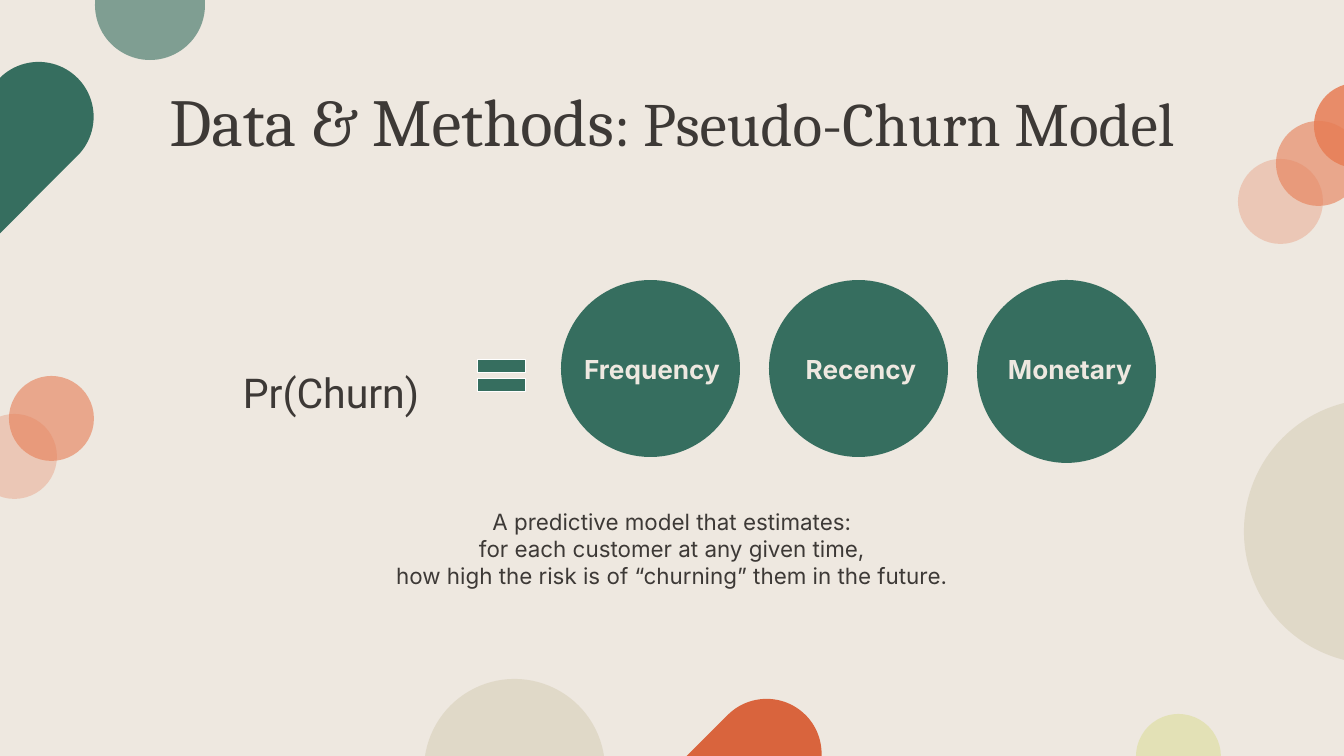
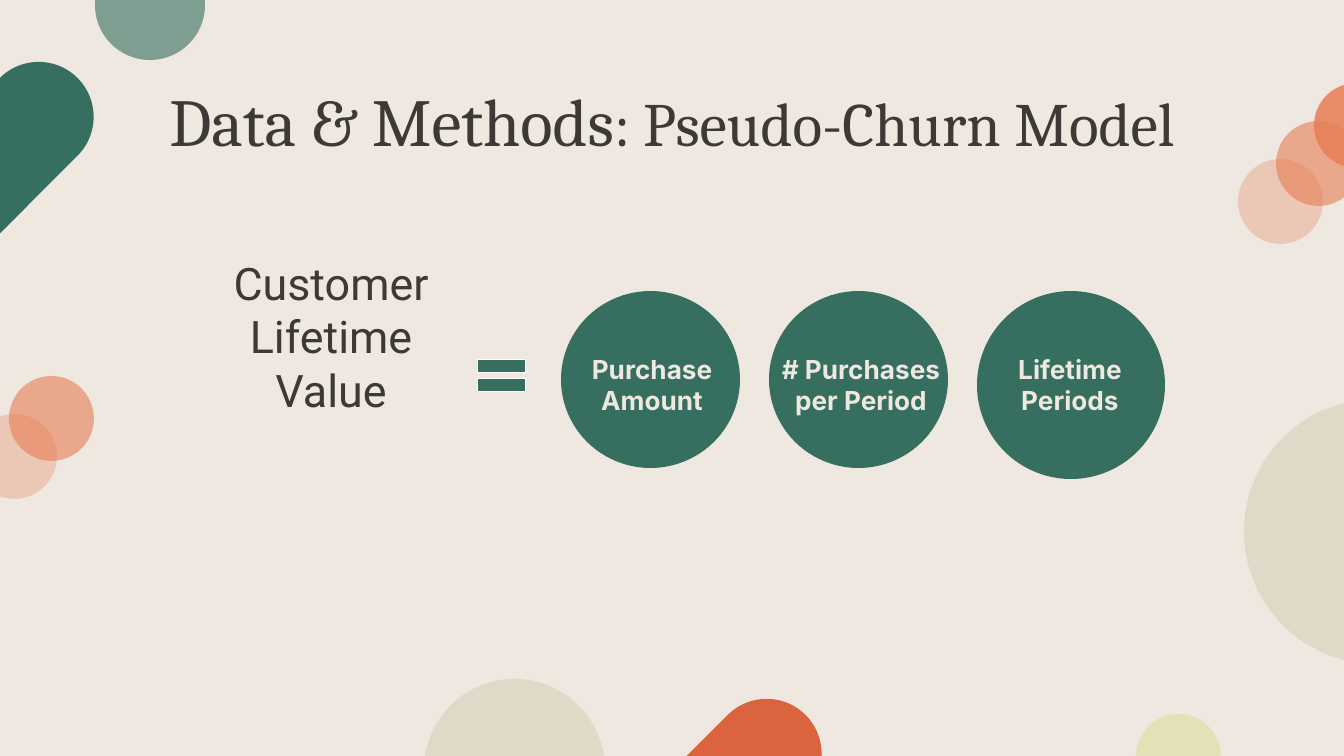
"""Builds two slides on the pseudo-churn model."""
from lxml import etree
from pptx import Presentation, util as u
from pptx.dml.color import RGBColor
from pptx.enum import shapes, text
from pptx.oxml.ns import qn

SCALE = u.Inches(10) / 1344
COLORS = {
    "paper": "EEE8E0",
    "ink": "3D3936",
    "green": "366E5F",
    "coral": "E77D55",
    "orange": "D9643D",
    "sand": "D8CFB9",
    "lime": "D9DC8E",
    "white": "FFFFFF",
}


def px(*lengths):
    """Turn px lengths into EMU."""
    return [u.Emu(round(length * SCALE)) for length in lengths]


def color(name):
    """Look up a named colour."""
    return RGBColor.from_string(COLORS[name])


def write(frame, *lines, font="Inter", size=14, ink="ink", bold=False, anchor="TOP"):
    """Fill a frame with centred lines, each a string or a list of (text, size) spans."""
    frame.word_wrap = True
    frame.auto_size = text.MSO_AUTO_SIZE.NONE
    frame.vertical_anchor = text.MSO_ANCHOR[anchor]
    frame.margin_left, frame.margin_top, frame.margin_right, frame.margin_bottom = [u.Inches(0.1)] * 4
    for index, line in enumerate(lines):
        para = frame.add_paragraph() if index else frame.paragraphs[0]
        para.alignment = text.PP_ALIGN.CENTER
        for words, points in [(line, size)] if isinstance(line, str) else line:
            span = para.add_run()
            span.text = words
            span.font.name = font
            span.font.size = u.Pt(points)
            span.font.bold = bold
            span.font.color.rgb = color(ink)


class Deck:
    """Holds the presentation, its shared style and the current page."""

    def __init__(self):
        """Set the size, the background and the title-only layout."""
        self.deck = Presentation()
        self.deck.slide_width, self.deck.slide_height = px(1344, 756)
        self.layout = self.deck.slide_layouts[5]
        self.page = None
        fill = self.deck.slide_master.background.fill
        fill.solid()
        fill.fore_color.rgb = color("paper")
        for holder in list(self.layout.placeholders)[1:]:
            self.layout.shapes.element.remove(holder.element)

    def start(self, *spans):
        """Open a new page with a title made of spans."""
        self.page = self.deck.slides.add_slide(self.layout)
        title = self.page.shapes.title
        title.left, title.top, title.width, title.height = px(105, 66, 1134, 109)
        write(title.text_frame, spans, font="Cambria")

    def shape(self, kind, left, top, width, height, fill, alpha=100, adjust=(), outline=None):
        """Add a preset shape with a flat, possibly see-through fill."""
        shape = self.page.shapes.add_shape(shapes.MSO_SHAPE[kind], *px(left, top, width, height))
        shape.shadow.inherit = False
        shape.fill.solid()
        shape.fill.fore_color.rgb = color(fill)
        if alpha < 100:
            tint = next(shape.element.spPr.iter(qn("a:srgbClr")))
            etree.SubElement(tint, qn("a:alpha")).set("val", str(alpha * 1000))
        for index, value in enumerate(adjust):
            shape.adjustments[index] = value
        if outline:
            shape.line.color.rgb = color(outline)
            shape.line.width = u.Pt(0.75)
        else:
            shape.line.fill.background()
        return shape

    def circle(self, left, top, size, fill, alpha):
        """Add a decorative circle."""
        return self.shape("OVAL", left, top, size, size, fill, alpha)

    def pill(self, left, top, fill):
        """Add a slanted pill."""
        pill = self.shape("ROUNDED_RECTANGLE", left, top, 379, 110, fill, adjust=[0.5])
        pill.rotation = 315
        return pill

    def decorate(self):
        """Draw the corner ornaments and hand them to the shared layout."""
        ornaments = [self.circle(9 - 37 * i, 376 + 38 * i, 85, "coral", alpha)
                     for i, alpha in enumerate([60, 30])]
        ornaments += [self.pill(-246, 157, "green"), self.circle(95, -50, 110, "green", 60)]
        ornaments += [self.circle(1314 - 38 * i, 83 + 38 * i, 85, "coral", alpha)
                      for i, alpha in enumerate([85, 60, 30])]
        ornaments += [
            self.circle(1244, 399, 265, "sand", 60),
            self.circle(1136, 714, 85, "lime", 50),
            self.circle(424, 679, 181, "sand", 60),
            self.pill(482, 794, "orange"),
        ]
        for ornament in ornaments:
            self.layout.shapes.element.append(ornament.element)

    def label(self, left, top, width, height, *lines, **style):
        """Add a text box."""
        box = self.page.shapes.add_textbox(*px(left, top, width, height))
        write(box.text_frame, *lines, **style)

    def equation(self, result, size, top, factors, last):
        """Set a result equal to factors in circles, the last circle having its own size."""
        self.label(179, 321, 304, 109, result, font="Roboto", size=size, anchor="BOTTOM")
        self.shape("MATH_EQUAL", 469, 348, 65, 55, "green", adjust=[0.235, 0.118], outline="white")
        sizes = [(179, 177), (179, 177), last]
        for i, (factor, (width, height)) in enumerate(zip(factors, sizes)):
            self.shape("OVAL", 561 + 208 * i, top, width, height, "green")
            self.label(558 + 209 * i, 340, 188, 55, factor, ink="paper", bold=True)


def main():
    """Build and save both slides."""
    deck = Deck()
    heading = [("Data & Methods", 36), (": Pseudo-Churn Model", 33)]

    deck.start(*heading)
    deck.decorate()
    deck.equation("Pr(Churn)", 22, 280, ["Frequency", "Recency", "Monetary"], (179, 183))
    deck.label(301, 495, 742, 203,
               "A predictive model that estimates:",
               "for each customer at any given time,",
               "how high the risk is of “churning” them in the future.", size=12)

    deck.start(*heading)
    deck.equation("Customer Lifetime Value", 24, 291,
                  ["Purchase Amount", "# Purchases per Period", "Lifetime Periods"], (188, 188))

    deck.deck.save("out.pptx")


if __name__ == "__main__":
    main()
